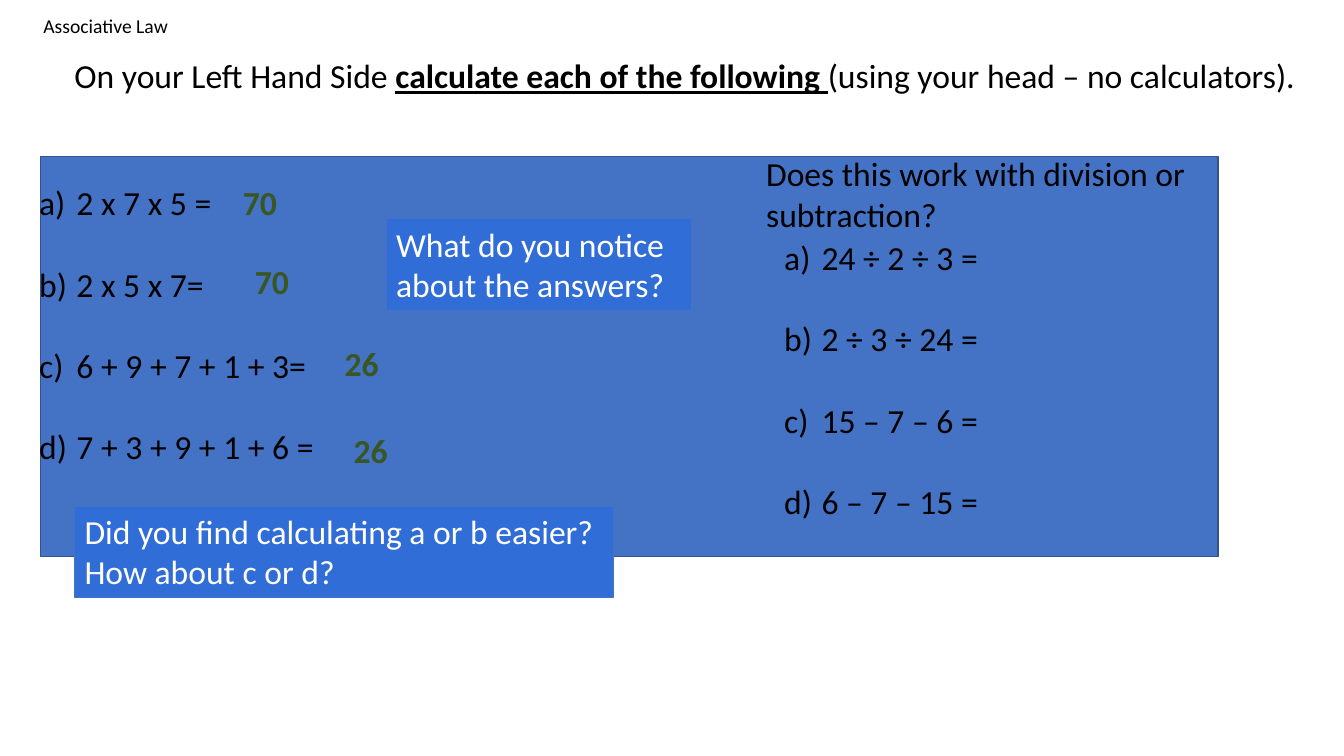
import pptx
import pptx.dml.color
import pptx.enum.shapes
import pptx.enum.text
import pptx.oxml.ns
import pptx.util
import lxml.etree

Inches = pptx.util.Inches
Pt = pptx.util.Pt
RGBColor = pptx.dml.color.RGBColor

BLACK = RGBColor(0x00, 0x00, 0x00)
WHITE = RGBColor(0xFF, 0xFF, 0xFF)
GREEN = RGBColor(0x38, 0x57, 0x23)
PANEL_BLUE = RGBColor(0x44, 0x72, 0xC4)
PANEL_EDGE = RGBColor(0x32, 0x54, 0x91)
QUESTION_BLUE = RGBColor(0x31, 0x6D, 0xD7)
LIST_INDENT = Inches(0.37)

presentation = pptx.Presentation()
presentation.slide_width = Inches(13.33)
presentation.slide_height = Inches(7.5)
slide = presentation.slides.add_slide(presentation.slide_layouts[5])


def write(shape, paragraphs, color=BLACK, size=24, bold=False):
    """Fill a shape with paragraphs, each a list of (text, emphasised) runs."""
    frame = shape.text_frame
    frame.word_wrap = True
    frame.vertical_anchor = pptx.enum.text.MSO_ANCHOR.TOP
    for index, runs in enumerate(paragraphs):
        paragraph = frame.add_paragraph() if index else frame.paragraphs[0]
        paragraph.alignment = pptx.enum.text.PP_ALIGN.LEFT
        for text, emphasised in runs:
            run = paragraph.add_run()
            run.text = text
            run.font.color.rgb = color
            font_format = {"name": "Calibri", "size": Pt(size),
                           "bold": bold or emphasised, "underline": emphasised}
            for attribute, value in font_format.items():
                setattr(run.font, attribute, value)
    return frame


def add_rectangle(box, fill, edge, edge_width):
    shape = slide.shapes.add_shape(
        pptx.enum.shapes.MSO_SHAPE.RECTANGLE, *map(Inches, box))
    shape.shadow.inherit = False
    shape.fill.solid()
    shape.fill.fore_color.rgb = fill
    shape.line.color.rgb = edge
    shape.line.width = Pt(edge_width)
    return shape


# Title
title = slide.shapes.title
title.left, title.top, title.width, title.height = map(
    Inches, (0.33, 0.09, 1.45, 0.34))
write(title, [[("Associative Law", False)]], size=14).word_wrap = False

# Background panel
add_rectangle((0.4, 1.55, 11.68, 3.97), PANEL_BLUE, PANEL_EDGE, 1)

# Instruction and division question
plain_texts = [
    ((0.64, 0.5, 12.34, 0.5),
     [("On your Left Hand Side ", False),
      ("calculate each of the following ", True),
      ("(using your head – no calculators).", False)]),
    ((7.5, 1.47, 4.42, 0.91),
     [("Does this work with division or subtraction?", False)]),
]
for box, runs in plain_texts:
    write(slide.shapes.add_textbox(*map(Inches, box)), [runs])

# Lettered calculations, one blank line's height apart
calculations = [
    ((0.29, 1.76), ["2 x 7 x 5 =", "2 x 5 x 7=",
                    "6 + 9 + 7 + 1 + 3=", "7 + 3 + 9 + 1 + 6 ="]),
    ((7.68, 2.3), ["24 ÷ 2 ÷ 3 =", "2 ÷ 3 ÷ 24 =",
                   "15 – 7 – 6 =", "6 – 7 – 15 ="]),
]
for (left, top), sums in calculations:
    textbox = slide.shapes.add_textbox(
        Inches(left), Inches(top), Inches(4.53), Inches(3.33))
    frame = write(textbox, [[(text, False)] for text in sums])
    for index, paragraph in enumerate(frame.paragraphs):
        properties = paragraph._p.get_or_add_pPr()
        properties.set("marL", str(LIST_INDENT))
        properties.set("indent", str(-LIST_INDENT))
        lxml.etree.SubElement(properties, pptx.oxml.ns.qn("a:buAutoNum"),
                              type="alphaLcParenR")
        if index:
            paragraph.space_before = Pt(29.3)

# Answers
answers = [("70", 2.31, 1.76, 0.82), ("70", 2.43, 2.54, 0.76),
           ("26", 3.32, 3.35, 1.09), ("26", 3.41, 4.22, 1.09)]
for answer, left, top, width in answers:
    textbox = slide.shapes.add_textbox(
        Inches(left), Inches(top), Inches(width), Inches(0.5))
    write(textbox, [[(answer, False)]], GREEN, bold=True)

# Highlighted questions
questions = [
    ((3.83, 2.17, 3.03, 0.91), "What do you notice about the answers?"),
    ((0.74, 5.02, 5.34, 0.91),
     "Did you find calculating a or b easier? How about c or d?"),
]
for box, question in questions:
    shape = add_rectangle(box, QUESTION_BLUE, PANEL_BLUE, 0.5)
    write(shape, [[(question, False)]], WHITE)

presentation.save("out.pptx")
